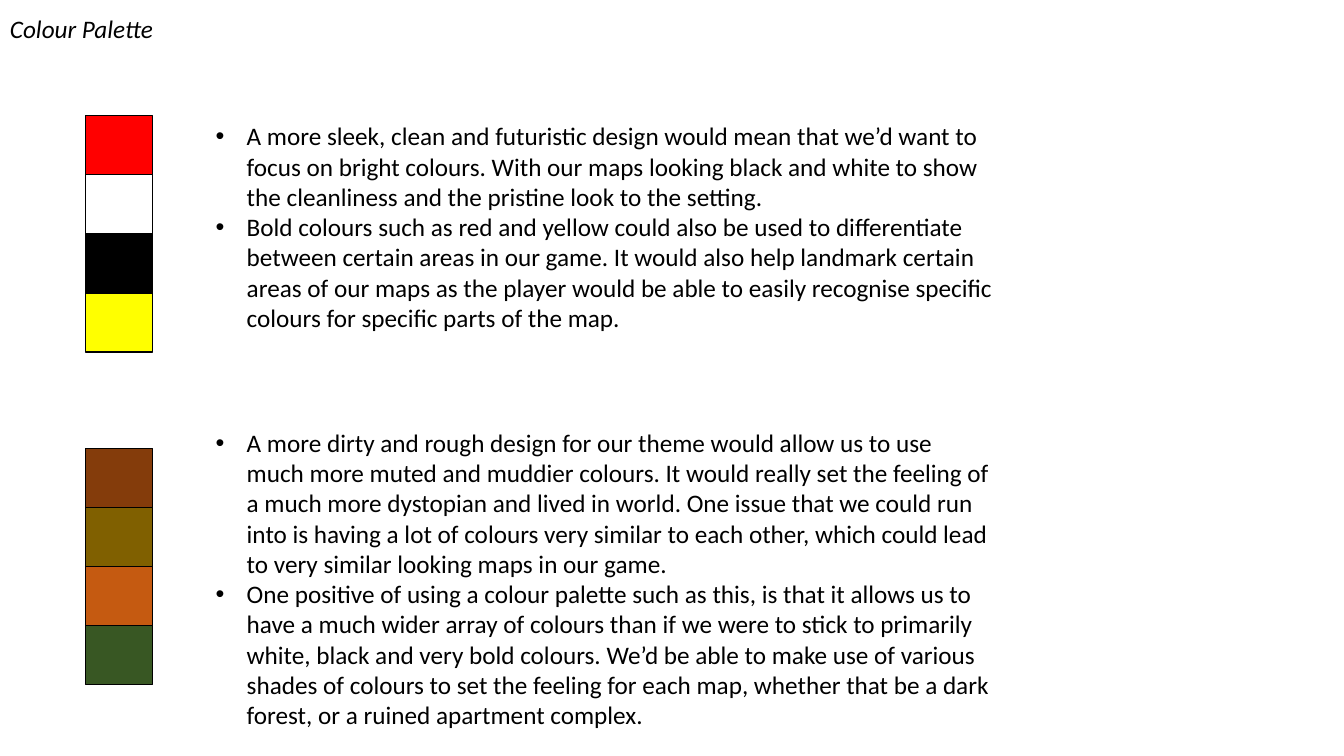
from lxml.etree import SubElement
from pptx import Presentation
from pptx.dml.color import RGBColor
from pptx.enum.shapes import MSO_SHAPE
from pptx.enum.text import MSO_AUTO_SIZE
from pptx.oxml.ns import qn
from pptx.util import Inches, Pt

COLOURS = {
    "red": "FF0000", "white": "FFFFFF", "black": "000000", "yellow": "FFFF00",
    "brown": "843C0B", "olive": "806000", "orange": "C55A11", "green": "385723",
}

# Swatch top row, text top row, text rows, swatch colours, bullet points
PALETTES = [
    (1.96, 1.96, 3.79, ["red", "white", "black", "yellow"], [
        "A more sleek, clean and futuristic design would mean that we’d want to "
        "focus on bright colours. With our maps looking black and white to show "
        "the cleanliness and the pristine look to the setting.",
        "Bold colours such as red and yellow could also be used to differentiate "
        "between certain areas in our game. It would also help landmark certain "
        "areas of our maps as the player would be able to easily recognise specific "
        "colours for specific parts of the map.",
    ]),
    (7.59, 7.15, 5.34, ["brown", "olive", "orange", "green"], [
        "A more dirty and rough design for our theme would allow us to use "
        "much more muted and muddier colours. It would really set the feeling of "
        "a much more dystopian and lived in world. One issue that we could run "
        "into is having a lot of colours very similar to each other, which could lead "
        "to very similar looking maps in our game.",
        "One positive of using a colour palette such as this, is that it allows us to "
        "have a much wider array of colours than if we were to stick to primarily "
        "white, black and very bold colours. We’d be able to make use of various "
        "shades of colours to set the feeling for each map, whether that be a dark "
        "forest, or a ruined apartment complex.",
    ]),
]


class PaletteSlide:
    """Slide on a grid whose cell is the size of one swatch."""

    FONT, SIZE = "Calibri", Pt(18)
    COLUMNS, ROWS = 20, 12.8
    INDENT = Inches(0.31)

    def __init__(self, prs):
        self.slide = prs.slides.add_slide(prs.slide_layouts[6])
        self.col = prs.slide_width / self.COLUMNS
        self.row = prs.slide_height / self.ROWS

    def box(self, col, row, cols, rows):
        """Turn grid units into left, top, width and height."""
        return (round(col * self.col), round(row * self.row),
                round(cols * self.col), round(rows * self.row))

    def colour(self, name):
        return RGBColor.from_string(COLOURS[name])

    def swatch(self, col, row, name):
        sp = self.slide.shapes.add_shape(MSO_SHAPE.RECTANGLE, *self.box(col, row, 1, 1))
        sp.shadow.inherit = False
        sp.fill.solid()
        sp.fill.fore_color.rgb = self.colour(name)
        sp.line.color.rgb = self.colour("black")
        sp.line.width = Pt(1)

    def text(self, box, lines, bullets=False, italic=None):
        tf = self.slide.shapes.add_textbox(*self.box(*box)).text_frame
        tf.word_wrap = bullets
        tf.auto_size = MSO_AUTO_SIZE.SHAPE_TO_FIT_TEXT
        tf.text = "\n".join(lines)
        for p in tf.paragraphs:
            if bullets:
                self.bullet(p)
            for r in p.runs:
                r.font.name, r.font.size = self.FONT, self.SIZE
                r.font.italic = italic
                r.font.color.rgb = self.colour("black")

    def bullet(self, p):
        pPr = p._p.get_or_add_pPr()
        pPr.set("marL", str(self.INDENT))
        pPr.set("indent", str(-self.INDENT))
        SubElement(pPr, qn("a:buFont"), typeface="Arial")
        SubElement(pPr, qn("a:buChar"), char="•")


def main():
    prs = Presentation()
    prs.slide_width, prs.slide_height = Inches(13.33), Inches(7.5)
    s = PaletteSlide(prs)
    s.text((0, 0.15, 2.46, 0.68), ["Colour Palette"], italic=True)
    for swatch_row, text_row, text_rows, names, points in PALETTES:
        for i, name in enumerate(names):
            s.swatch(1.27, swatch_row + i, name)
        s.text((3.06, text_row, 11.9, text_rows), points, bullets=True)
    prs.save("out.pptx")


if __name__ == "__main__":
    main()
